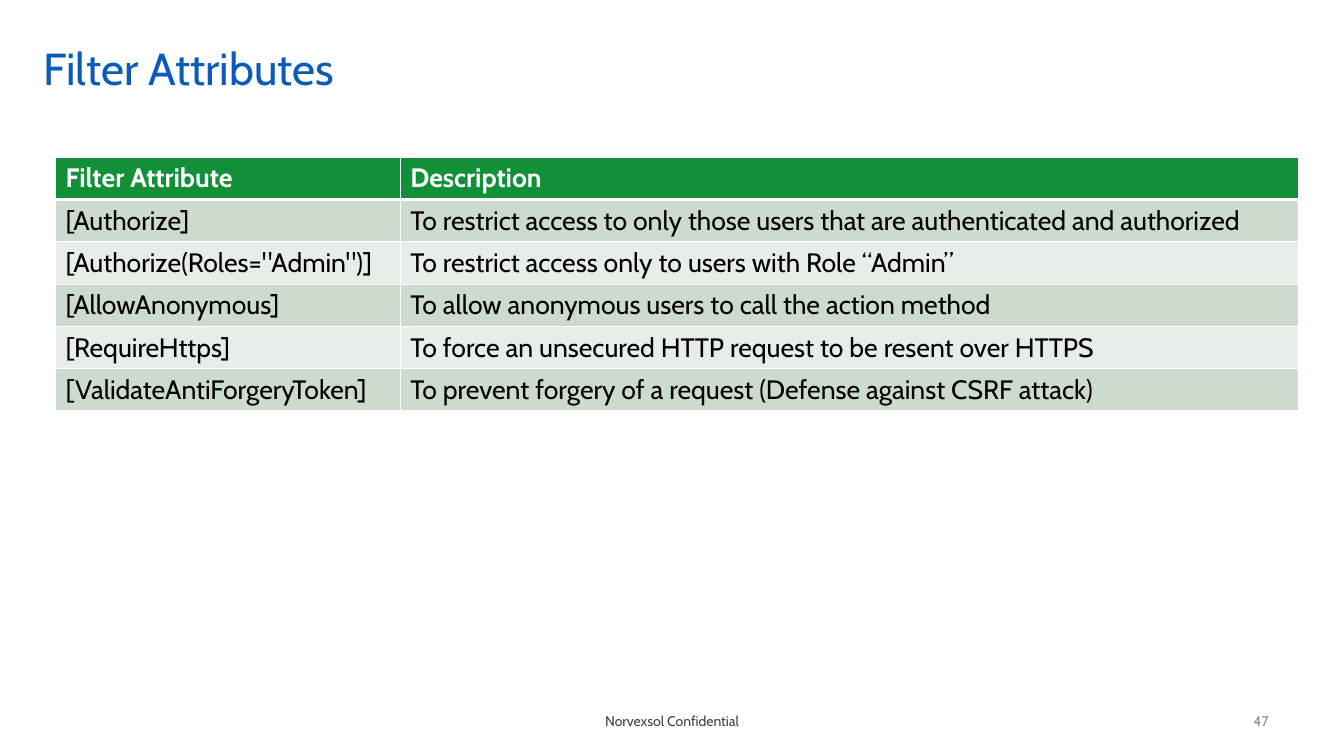
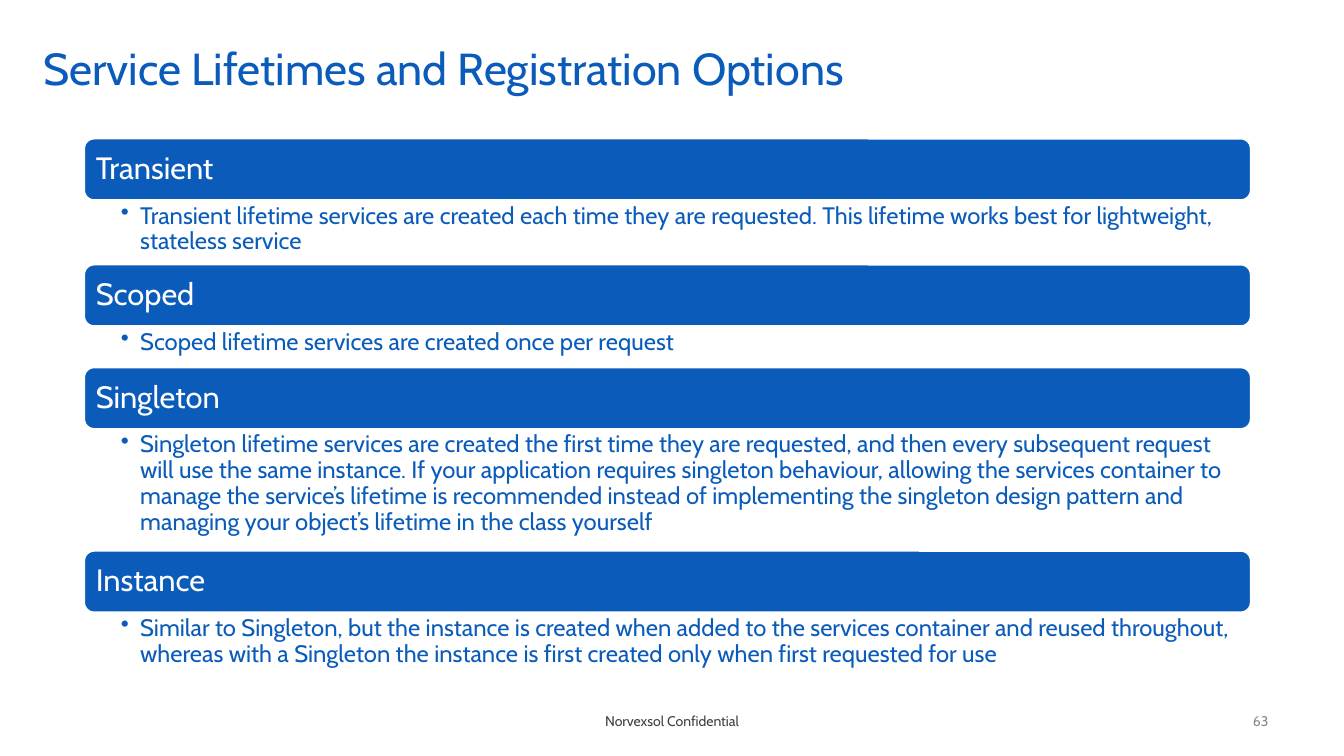
"""Build two training slides: filter attributes and service lifetimes."""
from lxml.etree import SubElement
from pptx import Presentation
from pptx.dml.color import RGBColor
from pptx.enum.shapes import MSO_SHAPE
from pptx.enum.text import MSO_ANCHOR as ANCHOR, PP_ALIGN as ALIGN
from pptx.oxml.ns import qn
from pptx.util import Pt

PX = 9144
FONT = "Cabin"
BLUE = RGBColor(0x0A, 0x5B, 0xBA)
GREEN = RGBColor(0x12, 0x90, 0x38)
BAND_DARK = RGBColor(0xCC, 0xDB, 0xCE)
BAND_LIGHT = RGBColor(0xE7, 0xEE, 0xE8)
WHITE = RGBColor(0xFF, 0xFF, 0xFF)
BLACK = RGBColor(0x00, 0x00, 0x00)
FOOTER_GREY = RGBColor(0x3F, 0x3F, 0x3F)
NUMBER_GREY = RGBColor(0x89, 0x89, 0x89)

FILTERS = [
    ("Filter Attribute", "Description"),
    ("[Authorize]", "To restrict access to only those users that are authenticated and authorized"),
    ('[Authorize(Roles="Admin")]', "To restrict access only to users with Role “Admin”"),
    ("[AllowAnonymous]", "To allow anonymous users to call the action method"),
    ("[RequireHttps]", "To force an unsecured HTTP request to be resent over HTTPS"),
    ("[ValidateAntiForgeryToken]", "To prevent forgery of a request (Defense against CSRF attack)"),
]
COLUMN_WIDTHS = (342, 891)
ROW_HEIGHT = 42

LIFETIMES = [
    ("Transient", 63,
     "Transient lifetime services are created each time they are requested. "
     "This lifetime works best for lightweight, stateless service"),
    ("Scoped", 40, "Scoped lifetime services are created once per request"),
    ("Singleton", 120,
     "Singleton lifetime services are created the first time they are requested, "
     "and then every subsequent request will use the same instance. If your application "
     "requires singleton behaviour, allowing the services container to manage the service’s "
     "lifetime is recommended instead of implementing the singleton design pattern and "
     "managing your object’s lifetime in the class yourself"),
    ("Instance", 63,
     "Similar to Singleton, but the instance is created when added to the services container "
     "and reused throughout, whereas with a Singleton the instance is first created only "
     "when first requested for use"),
]
LIST_LEFT, LIST_TOP, LIST_WIDTH = 83, 137, 1158
BAR_HEIGHT = 62
BULLET_INDENT = 19


def write(shape, text, size, color, align=ALIGN.LEFT, anchor=ANCHOR.MIDDLE,
          margins=(10, 5, 10, 5), spacing=0.9):
    frame = shape.text_frame
    frame.text = text
    frame.word_wrap = True
    frame.vertical_anchor = anchor
    (frame.margin_left, frame.margin_top,
     frame.margin_right, frame.margin_bottom) = [margin * PX for margin in margins]
    paragraph = frame.paragraphs[0]
    paragraph.alignment = align
    paragraph.line_spacing = spacing
    font = paragraph.runs[0].font
    font.name, font.size, font.color.rgb = FONT, Pt(size), color
    return paragraph


def add_slide(title, number):
    slide = presentation.slides.add_slide(presentation.slide_layouts[5])
    heading = slide.shapes.title
    heading.left, heading.top = 33 * PX, 33 * PX
    heading.width, heading.height = 1233 * PX, 75 * PX
    write(heading, title, 32, BLUE)
    footer = slide.shapes.add_textbox(511 * PX, 695 * PX, 311 * PX, 40 * PX)
    write(footer, "Norvexsol Confidential", 10, FOOTER_GREY, ALIGN.CENTER,
          margins=(20, 5, 20, 5), spacing=1.0)
    page = slide.shapes.add_textbox(968 * PX, 695 * PX, 300 * PX, 40 * PX)
    write(page, number, 10, NUMBER_GREY, ALIGN.RIGHT, spacing=1.0)
    return slide


presentation = Presentation()
presentation.slide_width = 1333 * PX
presentation.slide_height = 750 * PX

slide = add_slide("Filter Attributes", "47")
table = slide.shapes.add_table(
    len(FILTERS), len(COLUMN_WIDTHS), 55 * PX, 156 * PX,
    sum(COLUMN_WIDTHS) * PX, len(FILTERS) * ROW_HEIGHT * PX).table
for column, width in zip(table.columns, COLUMN_WIDTHS):
    column.width = width * PX
for row_index, texts in enumerate(FILTERS):
    is_header = row_index == 0
    table.rows[row_index].height = ROW_HEIGHT * PX
    for column_index, text in enumerate(texts):
        cell = table.cell(row_index, column_index)
        cell.text = text
        font = cell.text_frame.paragraphs[0].runs[0].font
        font.name, font.size, font.bold = FONT, Pt(19), is_header
        font.color.rgb = WHITE if is_header else BLACK
        properties = cell._tc.get_or_add_tcPr()
        for side in "LRTB":
            is_thick = (row_index, side) in ((0, "B"), (1, "T"))
            border = SubElement(properties, qn(f"a:ln{side}"), w=str(Pt(3 if is_thick else 1)))
            border_fill = SubElement(border, qn("a:solidFill"))
            SubElement(border_fill, qn("a:srgbClr"), val=str(WHITE))
        cell.fill.solid()
        band = BAND_DARK if row_index % 2 else BAND_LIGHT
        cell.fill.fore_color.rgb = GREEN if is_header else band

slide = add_slide("Service Lifetimes and Registration Options", "63")
top = LIST_TOP
for name, detail_height, detail in LIFETIMES:
    bar = slide.shapes.add_shape(MSO_SHAPE.ROUNDED_RECTANGLE, LIST_LEFT * PX, top * PX,
                                 LIST_WIDTH * PX, BAR_HEIGHT * PX)
    bar.shadow.inherit = False
    bar.fill.solid()
    bar.fill.fore_color.rgb = BLUE
    bar.line.color.rgb = WHITE
    bar.line.width = Pt(2)
    write(bar, name, 22, WHITE, margins=(9, 9, 9, 9))
    top += BAR_HEIGHT
    box = slide.shapes.add_textbox(LIST_LEFT * PX, top * PX, LIST_WIDTH * PX, detail_height * PX)
    paragraph = write(box, detail, 17, BLUE, anchor=ANCHOR.TOP, margins=(37, 3, 17, 3))
    properties = paragraph._p.get_or_add_pPr()
    properties.set("marL", str(BULLET_INDENT * PX))
    properties.set("indent", str(-BULLET_INDENT * PX))
    SubElement(properties, qn("a:buChar"), char="•")
    top += detail_height

presentation.save("out.pptx")
